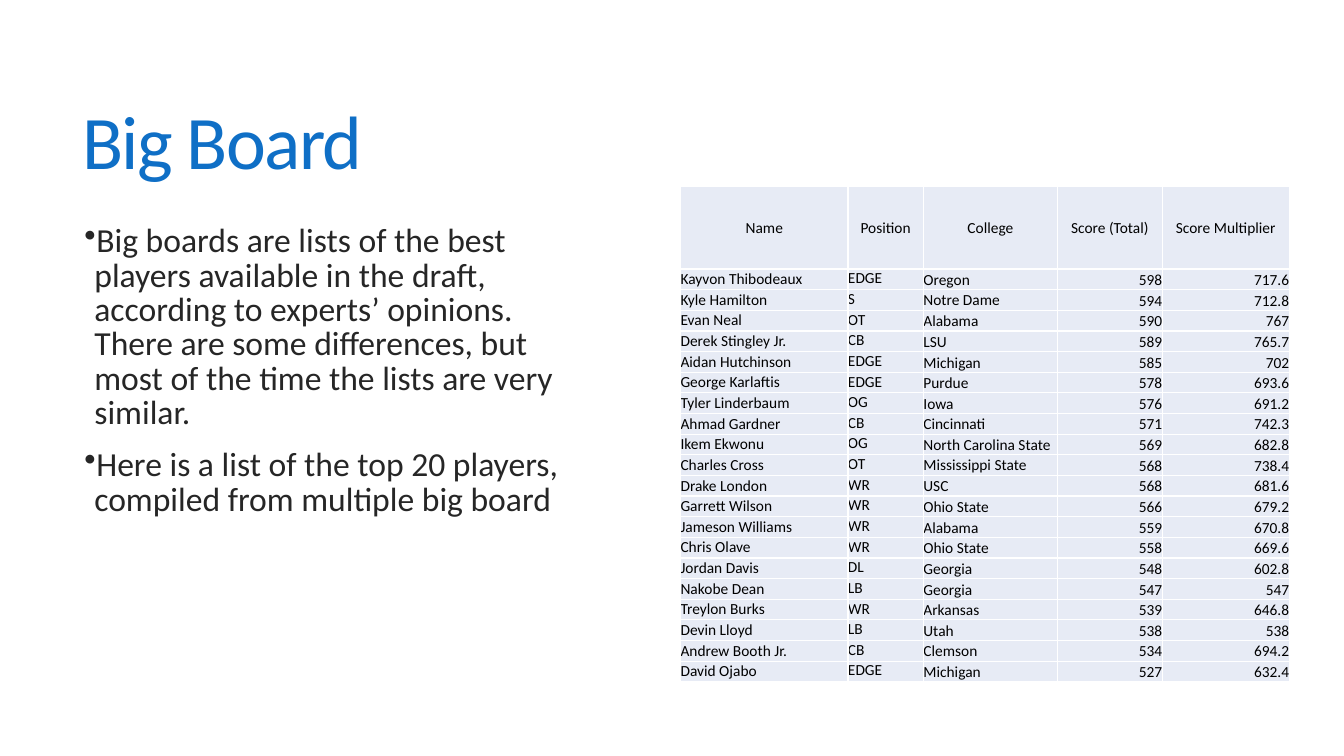
import pptx
import pptx.dml.color
import pptx.enum.text
import pptx.oxml
import pptx.oxml.ns
import pptx.util
from pptx.util import Cm

TITLE = "Big Board"
POINTS = [
    "Big boards are lists of the best players available in the draft, according to "
    "experts’ opinions. There are some differences, but most of the time the lists "
    "are very similar.",
    "Here is a list of the top 20 players, compiled from multiple big board",
]
HEADINGS = ("Name", "Position", "College", "Score (Total)", "Score Multiplier")
PLAYERS = [
    ("Kayvon Thibodeaux", "EDGE", "Oregon", "598", "717.6"),
    ("Kyle Hamilton", "S", "Notre Dame", "594", "712.8"),
    ("Evan Neal", "OT", "Alabama", "590", "767"),
    ("Derek Stingley Jr.", "CB", "LSU", "589", "765.7"),
    ("Aidan Hutchinson", "EDGE", "Michigan", "585", "702"),
    ("George Karlaftis", "EDGE", "Purdue", "578", "693.6"),
    ("Tyler Linderbaum", "OG", "Iowa", "576", "691.2"),
    ("Ahmad Gardner", "CB", "Cincinnati", "571", "742.3"),
    ("Ikem Ekwonu", "OG", "North Carolina State", "569", "682.8"),
    ("Charles Cross", "OT", "Mississippi State", "568", "738.4"),
    ("Drake London", "WR", "USC", "568", "681.6"),
    ("Garrett Wilson", "WR", "Ohio State", "566", "679.2"),
    ("Jameson Williams", "WR", "Alabama", "559", "670.8"),
    ("Chris Olave", "WR", "Ohio State", "558", "669.6"),
    ("Jordan Davis", "DL", "Georgia", "548", "602.8"),
    ("Nakobe Dean", "LB", "Georgia", "547", "547"),
    ("Treylon Burks", "WR", "Arkansas", "539", "646.8"),
    ("Devin Lloyd", "LB", "Utah", "538", "538"),
    ("Andrew Booth Jr.", "CB", "Clemson", "534", "694.2"),
    ("David Ojabo", "EDGE", "Michigan", "527", "632.4"),
]
MIDDLE_COLLEGES = {"Notre Dame", "Mississippi State"}
COLORS = {"title": "0F6FC6", "body": "262626", "table": "000000",
          "cell": "E7EBF5", "border": "FFFFFF"}
FONT = "Calibri"
COLUMN_WIDTHS = (4.22, 1.9, 3.38, 2.64, 3.2)
HEADER_HEIGHT, ROW_HEIGHT = 2.08, 0.52
ANCHOR = pptx.enum.text.MSO_ANCHOR
ALIGN = pptx.enum.text.PP_ALIGN
COLUMN_ANCHORS = (ANCHOR.MIDDLE, ANCHOR.TOP, ANCHOR.BOTTOM, ANCHOR.BOTTOM, ANCHOR.BOTTOM)
COLUMN_ALIGNS = (ALIGN.LEFT, ALIGN.LEFT, ALIGN.LEFT, ALIGN.RIGHT, ALIGN.RIGHT)


def rgb(name):
    return pptx.dml.color.RGBColor.from_string(COLORS[name])


def style_text(para, size, color):
    for span in para.runs:
        span.font.name = FONT
        span.font.size = pptx.util.Pt(size)
        span.font.bold = False
        span.font.color.rgb = rgb(color)


def add_text_box(page, left, top, width, height):
    box = page.shapes.add_textbox(Cm(left), Cm(top), Cm(width), Cm(height))
    box.text_frame.word_wrap = True
    return box.text_frame


def add_title(page):
    frame = add_text_box(page, 1.83, 1.4, 29.92, 4.6)
    frame.vertical_anchor = ANCHOR.MIDDLE
    frame.text = TITLE
    para = frame.paragraphs[0]
    para.line_spacing = 0.85
    style_text(para, 54, "title")
    para.runs[0]._r.get_or_add_rPr().set("spc", "-120")


def add_points(page):
    frame = add_text_box(page, 1.88, 5.56, 12.95, 10.46)
    frame.text = "\n".join(POINTS)
    indent = Cm(0.25)
    for para in frame.paragraphs:
        para.line_spacing = 0.85
        para.space_before = pptx.util.Pt(13)
        style_text(para, 24, "body")
        properties = para._p.get_or_add_pPr()
        properties.set("marL", str(indent))
        properties.set("indent", str(-indent))
        properties.append(pptx.oxml.parse_xml(
            f'<a:buChar {pptx.oxml.ns.nsdecls("a")} char="•"/>'))


def add_borders(cell):
    for side in ("lnL", "lnR", "lnT", "lnB"):
        cell._tc.get_or_add_tcPr().append(pptx.oxml.parse_xml(
            f'<a:{side} {pptx.oxml.ns.nsdecls("a")} w="{pptx.util.Pt(1)}"><a:solidFill>'
            f'<a:srgbClr val="{COLORS["border"]}"/></a:solidFill></a:{side}>'))


def fill_cell(cell, text, anchor, align):
    cell.text_frame.text = text
    cell.margin_left = cell.margin_right = cell.margin_top = cell.margin_bottom = 0
    cell.vertical_anchor = anchor
    para = cell.text_frame.paragraphs[0]
    para.alignment = align
    style_text(para, 11, "table")
    add_borders(cell)
    cell.fill.solid()
    cell.fill.fore_color.rgb = rgb("cell")


def add_player_table(page):
    heights = [HEADER_HEIGHT] + [ROW_HEIGHT] * len(PLAYERS)
    table = page.shapes.add_table(
        len(heights), len(HEADINGS), Cm(17.15), Cm(4.7),
        Cm(sum(COLUMN_WIDTHS)), Cm(sum(heights))).table
    table.first_row = table.horz_banding = False
    for column, width in zip(table.columns, COLUMN_WIDTHS):
        column.width = Cm(width)
    for row, height in zip(table.rows, heights):
        row.height = Cm(height)
    for index, heading in enumerate(HEADINGS):
        fill_cell(table.cell(0, index), heading, ANCHOR.MIDDLE, ALIGN.CENTER)
    for number, player in enumerate(PLAYERS, start=1):
        for index, text in enumerate(player):
            anchor = ANCHOR.MIDDLE if text in MIDDLE_COLLEGES else COLUMN_ANCHORS[index]
            fill_cell(table.cell(number, index), text, anchor, COLUMN_ALIGNS[index])


def main():
    """Build the draft big board slide."""
    deck = pptx.Presentation()
    deck.slide_width, deck.slide_height = Cm(33.87), Cm(19.05)
    page = deck.slides.add_slide(deck.slide_layouts[6])
    add_title(page)
    add_points(page)
    add_player_table(page)
    deck.save("out.pptx")


if __name__ == "__main__":
    main()
